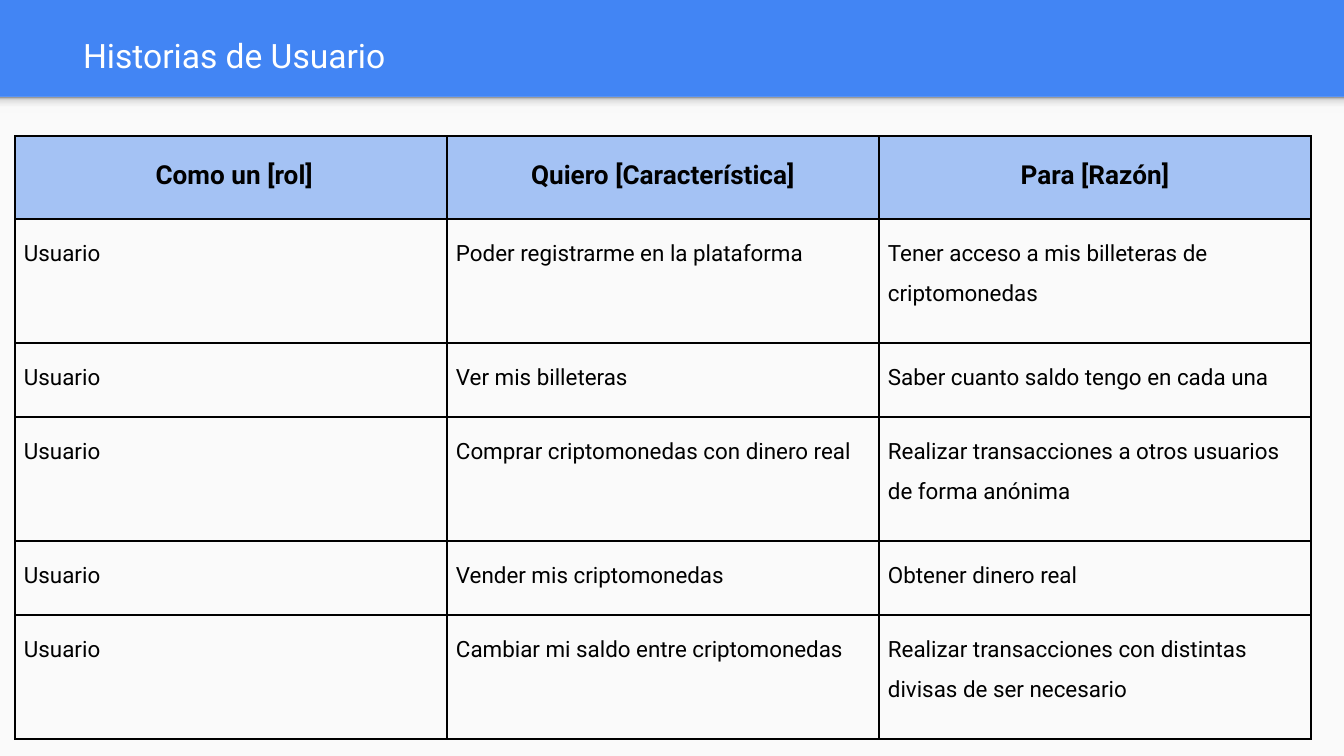
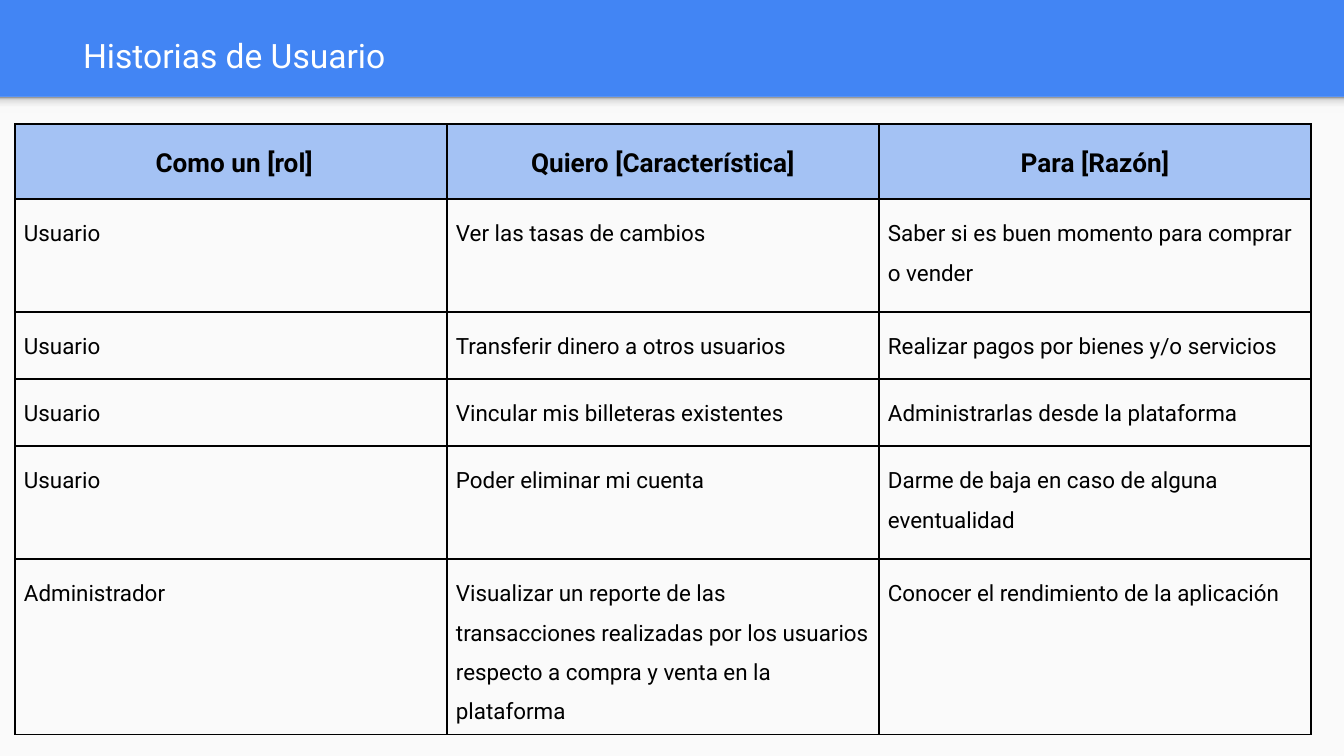
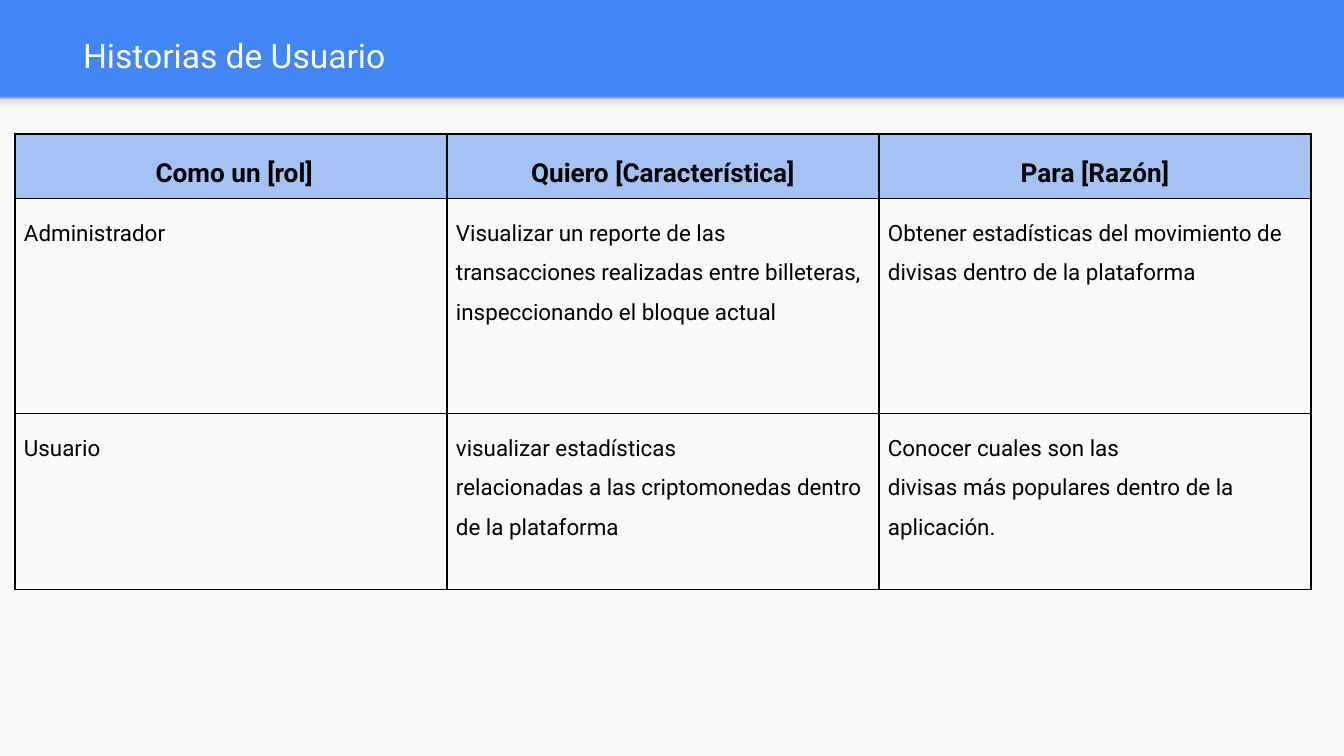
import copy

import pptx
import pptx.dml.color
import pptx.enum.shapes
import pptx.enum.text
import pptx.oxml
import pptx.oxml.ns
import pptx.util

EMU_PER_PX = 914400 / 134.4
SLIDE_WIDTH, SLIDE_HEIGHT = 1344, 756
BAND_HEIGHT = 97
TITLE_ONLY_LAYOUT = 5
ALIGN = pptx.enum.text.PP_ALIGN

HEADINGS = (" Como un [rol]", "Quiero [Característica]", "Para [Razón]")

STORY_SLIDES = [
    {
        "top": 136,
        "heights": [83, 124, 74, 124, 74, 124],
        "stories": [
            ("Usuario", "Poder registrarme en la plataforma",
             "Tener acceso a mis billeteras de criptomonedas"),
            ("Usuario", "Ver mis billeteras",
             "Saber cuanto saldo tengo en cada una"),
            ("Usuario", "Comprar criptomonedas con dinero real",
             "Realizar transacciones a otros usuarios de forma anónima"),
            ("Usuario", "Vender mis criptomonedas", "Obtener dinero real"),
            ("Usuario", "Cambiar mi saldo entre criptomonedas",
             "Realizar transacciones con distintas divisas de ser necesario"),
        ],
    },
    {
        "top": 124,
        "heights": [75, 113, 67, 67, 113, 159],
        "stories": [
            ("Usuario", "Ver las tasas de cambios",
             "Saber si es buen momento para comprar o vender"),
            ("Usuario", "Transferir dinero a otros usuarios",
             "Realizar pagos por bienes y/o servicios"),
            ("Usuario", "Vincular mis billeteras existentes",
             "Administrarlas desde la plataforma"),
            ("Usuario", "Poder eliminar mi cuenta",
             "Darme de baja en caso de alguna eventualidad"),
            ("Administrador",
             "Visualizar un reporte de las transacciones realizadas por los "
             "usuarios respecto a compra y venta en la plataforma",
             "Conocer el rendimiento de la aplicación"),
        ],
    },
    {
        "top": 134,
        "heights": [55, 215, 176],
        "stories": [
            ("Administrador",
             "Visualizar un reporte de las transacciones realizadas entre "
             "billeteras, inspeccionando el bloque actual",
             "Obtener estadísticas del movimiento de divisas dentro de la plataforma"),
            ("Usuario",
             "visualizar estadísticas\n"
             "relacionadas a las criptomonedas dentro de la plataforma",
             "Conocer cuales son las\n"
             "divisas más populares dentro de la aplicación."),
        ],
    },
]


def px(length):
    return pptx.util.Emu(round(length * EMU_PER_PX))


def color(hex_code):
    return pptx.dml.color.RGBColor.from_string(hex_code)


def write_text(text_frame, text, font="Roboto", size=12, ink="000000",
               bold=False, align=ALIGN.LEFT, spacing=1.0):
    text_frame.text = text
    for paragraph in text_frame.paragraphs:
        paragraph.alignment = align
        paragraph.line_spacing = spacing
        for run in paragraph.runs:
            run.font.name = font
            run.font.size = pptx.util.Pt(size)
            run.font.bold = bold
            run.font.color.rgb = color(ink)


def set_margins(box, margin):
    box.margin_left = box.margin_right = px(margin)
    box.margin_top = box.margin_bottom = px(margin)


class StoryDeck:
    blue = "4285F4"
    paper = "FAFAFA"
    header_fill = "A4C2F4"
    border = "000000"
    shadow_stops = ((0, "F9F9F9"), (0.36, "F9F9F9"), (0.8, "DEDEDE"), (1, "999999"))
    table_left = 15
    column_width = 432

    def __init__(self):
        self.presentation = pptx.Presentation()
        self.presentation.slide_width = px(SLIDE_WIDTH)
        self.presentation.slide_height = px(SLIDE_HEIGHT)
        self.layout = self.presentation.slide_layouts[TITLE_ONLY_LAYOUT]
        background = self.presentation.slide_master.background
        background.fill.solid()
        background.fill.fore_color.rgb = color(self.blue)
        self.slide = None

    def add_slide(self):
        self.slide = self.presentation.slides.add_slide(self.layout)

    def add_rectangle(self, top, height):
        shape = self.slide.shapes.add_shape(
            pptx.enum.shapes.MSO_SHAPE.RECTANGLE,
            0, px(top), px(SLIDE_WIDTH), px(height))
        shape.shadow.inherit = False
        shape.line.fill.background()
        return shape

    def add_shared_backdrop(self):
        sheet = self.add_rectangle(BAND_HEIGHT, SLIDE_HEIGHT - BAND_HEIGHT)
        sheet.fill.solid()
        sheet.fill.fore_color.rgb = color(self.paper)
        shade = self.add_rectangle(BAND_HEIGHT, 16)
        shade.fill.gradient()
        shade.fill.gradient_angle = 90
        stop_list = shade.element.xpath(".//a:gsLst")[0]
        while len(stop_list) < len(self.shadow_stops):
            stop_list.append(copy.deepcopy(stop_list[0]))
        for stop, (position, hex_code) in zip(shade.fill.gradient_stops, self.shadow_stops):
            stop.position = position
            stop.color.rgb = color(hex_code)
        for index, shape in enumerate((sheet, shade)):
            shape.element.xpath("./p:nvSpPr/p:cNvPr")[0].set("id", str(20 + index))
            self.layout.shapes.element.insert(2 + index, shape.element)

    def add_title(self, text):
        title = self.slide.shapes.title
        title.left, title.top = px(70), px(11)
        title.width, title.height = px(1297), px(89)
        text_frame = title.text_frame
        set_margins(text_frame, 13)
        text_frame.word_wrap = True
        text_frame.auto_size = pptx.enum.text.MSO_AUTO_SIZE.NONE
        text_frame.vertical_anchor = pptx.enum.text.MSO_ANCHOR.MIDDLE
        write_text(text_frame, text, size=18, ink="FFFFFF")

    def add_story_table(self, top, heights, stories):
        rows = [HEADINGS, *stories]
        frame = self.slide.shapes.add_table(
            len(rows), len(HEADINGS), px(self.table_left), px(top),
            px(self.column_width * len(HEADINGS)), px(sum(heights)))
        table = frame.table
        table.first_row = table.horz_banding = False
        for column in table.columns:
            column.width = px(self.column_width)
        for row_index, (height, texts) in enumerate(zip(heights, rows)):
            table.rows[row_index].height = px(height)
            for column_index, text in enumerate(texts):
                cell = table.cell(row_index, column_index)
                set_margins(cell, 9)
                if row_index == 0:
                    cell.fill.solid()
                    cell.fill.fore_color.rgb = color(self.header_fill)
                    write_text(cell.text_frame, text, size=14, bold=True,
                               align=ALIGN.CENTER, spacing=1.5)
                else:
                    cell.fill.background()
                    align = ALIGN.JUSTIFY if column_index == 0 else ALIGN.LEFT
                    write_text(cell.text_frame, text, align=align, spacing=1.5)
        self.draw_borders(frame)

    def draw_borders(self, frame):
        namespace = pptx.oxml.ns.nsdecls("a")
        for properties in frame.element.xpath(".//a:tcPr"):
            for index, side in enumerate("LRTB"):
                properties.insert(index, pptx.oxml.parse_xml(
                    f'<a:ln{side} {namespace} w="{pptx.util.Pt(1)}"><a:solidFill>'
                    f'<a:srgbClr val="{self.border}"/></a:solidFill></a:ln{side}>'))


def main():
    deck = StoryDeck()
    for index, content in enumerate(STORY_SLIDES):
        deck.add_slide()
        if index == 0:
            deck.add_shared_backdrop()
        deck.add_title("Historias de Usuario")
        deck.add_story_table(**content)
    deck.presentation.save("out.pptx")


if __name__ == "__main__":
    main()
